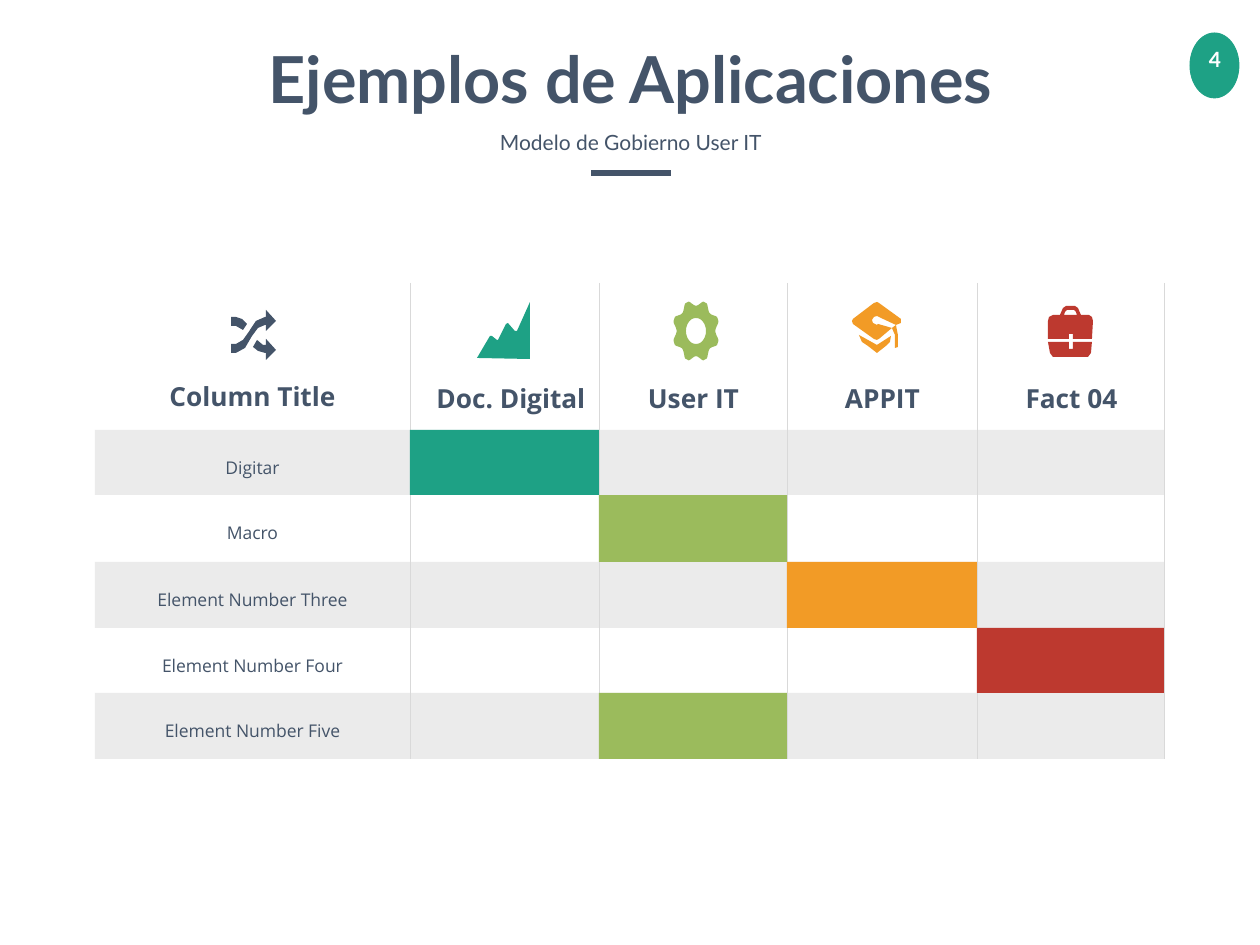
from math import cos, sin, pi, radians
from lxml.etree import SubElement
from pptx import Presentation
from pptx.dml.color import RGBColor
from pptx.enum.shapes import MSO_CONNECTOR, MSO_SHAPE
from pptx.enum.text import MSO_ANCHOR, MSO_AUTO_SIZE, PP_ALIGN
from pptx.oxml.ns import qn
from pptx.util import Pt

COLORS = {"navy": "445469", "teal": "1EA185", "green": "9BBB5C", "orange": "F29B26",
          "red": "BD392F", "grey": "D9D9D9", "white": "FFFFFF"}
TITLE = "Ejemplos de Aplicaciones"
SUBTITLE = "Modelo de Gobierno User IT"
PAGE_NUMBER = "4"
HEADERS = ["Column Title", "Doc. Digital", "User IT", "APPIT", "Fact 04"]
ROWS = [("Digitar", 1, "teal"), ("Macro", 2, "green"), ("Element Number Three", 3, "orange"),
        ("Element Number Four", 4, "red"), ("Element Number Five", 2, "green")]
COLUMN_EDGES = [95, 410, 599, 787, 977, 1164]
ROW_EDGES = [430, 495, 562, 628, 693, 759]
HEADER_TOP = 283
HEADER_BOXES = [(95, 367, 315), (411, 369, 200), (599, 369, 189), (788, 369, 189), (977, 369, 189)]
TITLE_FORMAT = {"name": "Lato", "size": Pt(37), "bold": True}
SUBTITLE_FORMAT = {"name": "Lato", "size": Pt(12), "bold": False}
NUMBER_FORMAT = {"name": "Lato", "size": Pt(12), "bold": True}
HEADER_FORMAT = {"name": "Open Sans", "size": Pt(15), "bold": True}
LABEL_FORMAT = {"name": "Open Sans", "size": Pt(10), "bold": False}
SCALE = 914400 / 126
FINE = 10


def gear_radius(degrees):
    """Return the relative gear radius, with a notch at every eighth of a turn."""
    offset = (degrees + 22.5) % 45 - 22.5
    return 1.03 - 0.19 * max(0, cos(pi * offset / 34))


def gear_contours(center_x, center_y):
    """Return the toothed rim and the oval hole of the gear."""
    rim = [(center_x + 23 * gear_radius(a) * cos(radians(a)),
            center_y + 30 * gear_radius(a) * sin(radians(a))) for a in range(0, 360, 3)]
    hole = [(center_x + 10 * cos(radians(a)), center_y + 13 * sin(radians(a)))
            for a in range(0, 360, 6)]
    return [rim, hole]


ICONS = {
    "teal": [[(530, 302), (517, 331), (515, 331), (508, 323), (506, 324), (498, 340), (497, 340),
              (492, 336), (490, 336), (477, 358), (530, 359)]],
    "green": gear_contours(696, 331),
    "orange": [
        [(859, 335), (862, 342), (868, 346), (877, 353), (886, 346), (890, 342), (891, 336),
         (877, 345)],
        [(901, 319), (879, 303), (877, 302), (874, 303), (853, 319), (852, 321), (853, 324),
         (874, 339), (877, 340), (879, 339), (892, 328), (878, 324), (877, 325), (873, 323),
         (872, 320), (874, 317), (877, 316), (881, 318), (896, 325), (901, 323)],
        [(895, 348), (898, 347), (898, 335), (896, 325), (892, 328), (895, 335)]],
    "red": [
        [(1069, 334), (1073, 334), (1073, 339), (1092, 339), (1093, 321), (1092, 317), (1089, 315),
         (1081, 315), (1078, 308), (1075, 306), (1066, 306), (1063, 308), (1060, 315), (1053, 315),
         (1049, 317), (1048, 321), (1048, 339), (1069, 339)],
        [(1065, 312), (1067, 310), (1074, 310), (1076, 312), (1077, 315), (1064, 315)],
        [(1073, 349), (1069, 349), (1069, 342), (1048, 342), (1050, 353), (1053, 357),
         (1088, 357), (1091, 353), (1092, 342), (1073, 342)]],
    "navy": [
        [(265, 325), (266, 325), (266, 331), (276, 321), (266, 310), (266, 317), (265, 317),
         (256, 321), (248, 333), (243, 340), (236, 344), (231, 344), (231, 353), (236, 353),
         (245, 348), (252, 336), (258, 328)],
        [(243, 330), (247, 324), (242, 319), (236, 317), (231, 317), (231, 326), (236, 326)],
        [(266, 345), (263, 345), (257, 340), (253, 347), (258, 351), (265, 353), (266, 353),
         (266, 360), (276, 350), (266, 339)]],
}


def emu(*pixels):
    """Convert pixels to EMU."""
    return [round(value * SCALE) for value in pixels]


def rgb(color):
    """Return a named colour."""
    return RGBColor.from_string(COLORS[color])


def paint(shape, color):
    """Give a shape a plain fill without line or shadow."""
    shape.shadow.inherit = False
    shape.fill.solid()
    shape.fill.fore_color.rgb = rgb(color)
    shape.line.fill.background()
    return shape


def add_block(slide, kind, box, color):
    """Add a filled preset shape."""
    return paint(slide.shapes.add_shape(kind, *emu(*box)), color)


def add_icon(slide, contours, color):
    """Add one freeform made of several closed contours."""
    contours = [[(x * FINE, y * FINE) for x, y in contour] for contour in contours]
    builder = slide.shapes.build_freeform(*contours[0][0], scale=SCALE / FINE)
    for index, contour in enumerate(contours):
        if index:
            builder.move_to(*contour[0])
        builder.add_line_segments(contour[1:], close=True)
    paint(builder.convert_to_shape(), color)


def write(shape, text, text_format, insets, color="navy", wrap=False):
    """Put centred, formatted text into a shape."""
    frame = shape.text_frame
    side, top = emu(*insets)
    frame_format = {"auto_size": MSO_AUTO_SIZE.NONE, "word_wrap": wrap,
                    "vertical_anchor": MSO_ANCHOR.TOP, "margin_left": side,
                    "margin_right": side, "margin_top": top, "margin_bottom": top}
    for name, value in frame_format.items():
        setattr(frame, name, value)
    paragraph = frame.paragraphs[0]
    paragraph.alignment = PP_ALIGN.CENTER
    run = paragraph.add_run()
    run.text = text
    for name, value in text_format.items():
        setattr(run.font, name, value)
    run.font.color.rgb = rgb(color)
    return paragraph


def add_text(slide, box, *args, **options):
    """Add a text box and fill it."""
    return write(slide.shapes.add_textbox(*emu(*box)), *args, **options)


def add_grid(slide):
    """Draw column rules, bands, headings, row labels and marked cells."""
    for x in COLUMN_EDGES[1:]:
        rule = slide.shapes.add_connector(MSO_CONNECTOR.STRAIGHT,
                                          *emu(x, HEADER_TOP, x, ROW_EDGES[-1]))
        rule.line.color.rgb = rgb("grey")
        rule.line.width = Pt(0.5)
        SubElement(rule._element.spPr, qn("a:effectLst"))
    left, right = COLUMN_EDGES[0], COLUMN_EDGES[-1]
    for top, bottom in list(zip(ROW_EDGES, ROW_EDGES[1:]))[::2]:
        band = add_block(slide, MSO_SHAPE.RECTANGLE, (left, top, right - left, bottom - top), "grey")
        fill_color = next(band._element.spPr.iter(qn("a:srgbClr")))
        SubElement(fill_color, qn("a:alpha"), val="50000")
    for text, (x, y, width) in zip(HEADERS, HEADER_BOXES):
        add_text(slide, (x, y, width, 57), text, HEADER_FORMAT, (25, 13))
    for (text, column, color), top, bottom in zip(ROWS, ROW_EDGES, ROW_EDGES[1:]):
        add_text(slide, (left, top + 14, COLUMN_EDGES[1] - left, 47), text, LABEL_FORMAT, (25, 13))
        x, end = COLUMN_EDGES[column:column + 2]
        add_block(slide, MSO_SHAPE.RECTANGLE, (x, top, end - x, bottom - top), color)


def main():
    """Build the slide and save it."""
    presentation = Presentation()
    presentation.slide_width, presentation.slide_height = emu(1260, 945)
    slide = presentation.slides.add_slide(presentation.slide_layouts[5])
    title = slide.shapes.title
    title.left, title.top, title.width, title.height = emu(215, 33, 831, 91)
    write(title, TITLE, TITLE_FORMAT, (13, 6))
    badge = add_block(slide, MSO_SHAPE.OVAL, (1190, 33, 49, 65), "teal")
    badge.line.color.rgb = rgb("teal")
    badge.line.width = Pt(0.5)
    add_text(slide, (1186, 42, 58, 37), PAGE_NUMBER, NUMBER_FORMAT, (10, 5), color="white")
    add_grid(slide)
    for color, contours in ICONS.items():
        add_icon(slide, contours, color)
    add_block(slide, MSO_SHAPE.RECTANGLE, (591, 170, 80, 6), "navy")
    subtitle = add_text(slide, (330, 112, 602, 58), SUBTITLE, SUBTITLE_FORMAT, (30, 15), wrap=True)
    subtitle.line_spacing = 1.1
    subtitle.space_before = Pt(2.4)
    presentation.save("out.pptx")


main()
